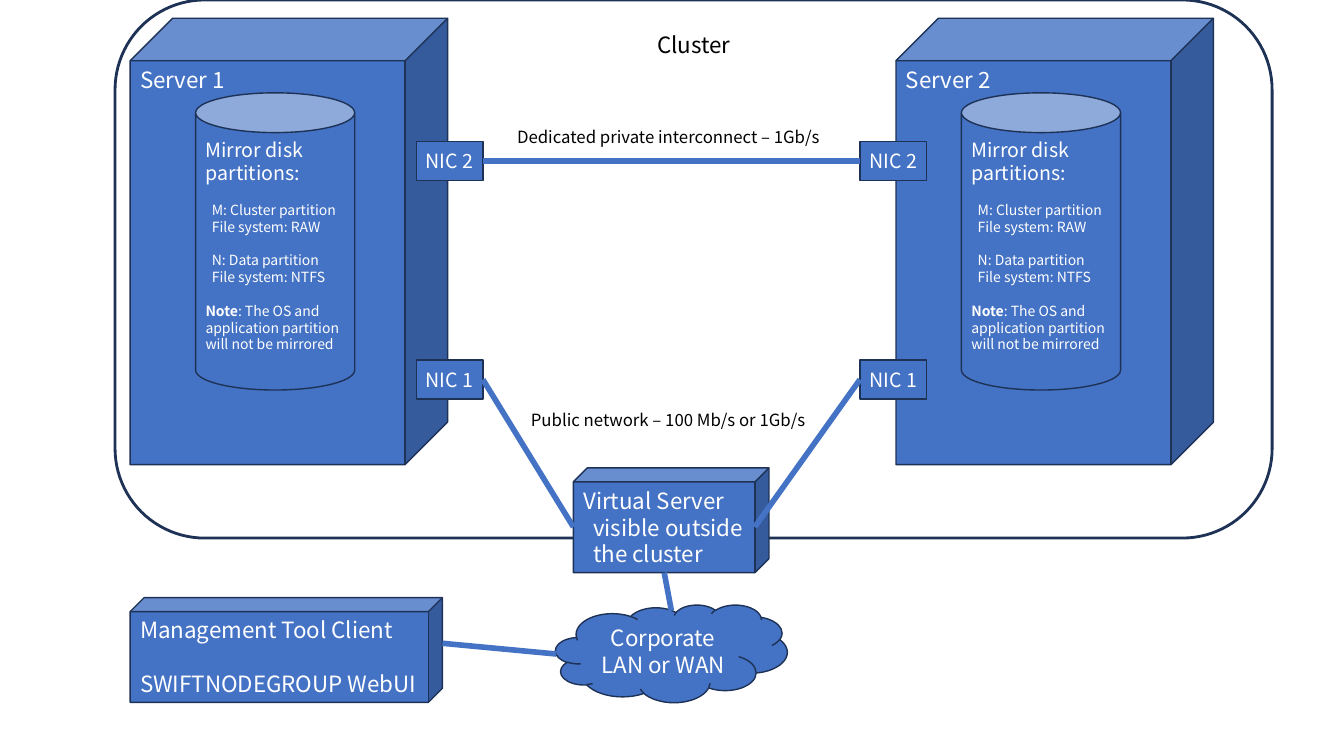
from dataclasses import dataclass

import lxml.etree
import pptx
import pptx.dml.color
import pptx.enum.shapes
import pptx.enum.text
import pptx.oxml.ns
import pptx.util
from pptx.util import Cm

SHAPE = pptx.enum.shapes.MSO_SHAPE
ALIGN = pptx.enum.text.PP_ALIGN
ANCHOR = pptx.enum.text.MSO_ANCHOR


# Colours, font and type sizes
@dataclass(frozen=True)
class Theme:
    font: str = "Noto Sans CJK JP"
    blue: str = "4472C4"
    outline: str = "1E3256"
    white: str = "FFFFFF"
    black: str = "000000"
    heading: int = 16
    subheading: int = 14
    label: int = 12
    detail: int = 10


THEME = Theme()


# Descriptions of the repeated elements; lengths in cm, gaps in points
@dataclass(frozen=True)
class Line:
    text: str
    size: int = THEME.heading
    indent: float = 0
    gap: int = 0
    bold_lead: str = ""


@dataclass(frozen=True)
class Box:
    left: float
    top: float
    width: float
    height: float


@dataclass(frozen=True)
class Block:
    kind: SHAPE
    box: Box
    lines: tuple[Line, ...]
    centred: bool = False


@dataclass(frozen=True)
class Server:
    name: str
    left: float
    nic_left: float


@dataclass(frozen=True)
class Link:
    x1: float
    y1: float
    x2: float
    y2: float


DETAIL = THEME.detail
MIRROR_DISK = (
    Line("Mirror disk", THEME.subheading),
    Line("partitions:", THEME.subheading),
    Line("M: Cluster partition", DETAIL, indent=0.16, gap=12),
    Line("File system: RAW", DETAIL, indent=0.16),
    Line("N: Data partition", DETAIL, indent=0.16, gap=12),
    Line("File system: NTFS", DETAIL, indent=0.16),
    Line(": The OS and", DETAIL, gap=12, bold_lead="Note"),
    Line("application partition", DETAIL),
    Line("will not be mirrored", DETAIL),
)
SERVERS = (Server("Server 1", 3.28, 10.49), Server("Server 2", 22.58, 21.67))
SERVER_TOP = 0.46
NIC_TOPS = {"NIC 1": 9.07, "NIC 2": 3.56}
NIC_WIDTH, NIC_HEIGHT = 1.68, 0.99
NIC_INNER = (SERVERS[0].nic_left + NIC_WIDTH, SERVERS[1].nic_left)
NIC1_Y, NIC2_Y = (top + NIC_HEIGHT / 2 for top in NIC_TOPS.values())

CLUSTER = Box(2.9, 0, 29.16, 13.56)
OUTSIDE = (
    Block(SHAPE.CUBE, Box(14.45, 11.79, 4.93, 2.64),
          (Line("Virtual Server"), Line("visible outside", indent=0.25),
           Line("the cluster", indent=0.25))),
    Block(SHAPE.CUBE, Box(3.28, 15.06, 7.87, 2.64),
          (Line("Management Tool Client"), Line("SWIFTNODEGROUP WebUI", gap=19))),
    Block(SHAPE.CLOUD, Box(14, 15.24, 5.84, 2.46),
          (Line("Corporate"), Line("LAN or WAN")), centred=True),
)
LABELS = (
    ("Dedicated private interconnect – 1Gb/s", Box(12.78, 3.07, 8.31, 0.76)),
    ("Public network – 100 Mb/s or 1Gb/s", Box(13.13, 10.19, 7.65, 0.76)),
)
LINKS = (
    Link(NIC_INNER[0], NIC2_Y, NIC_INNER[1], NIC2_Y),
    Link(NIC_INNER[0], NIC1_Y, 14.45, 13.28),
    Link(NIC_INNER[1], NIC1_Y, 19.02, 13.28),
    Link(16.74, 14.43, 16.92, 15.39),
    Link(14.02, 16.48, 11.15, 16.21),
)


def rgb(colour: str) -> pptx.dml.color.RGBColor:
    return pptx.dml.color.RGBColor.from_string(colour)


def place(box: Box) -> tuple[Cm, Cm, Cm, Cm]:
    return Cm(box.left), Cm(box.top), Cm(box.width), Cm(box.height)


def write(tf, lines: tuple[Line, ...], colour: str, centred: bool = False) -> None:
    tf.word_wrap = True
    tf.auto_size = pptx.enum.text.MSO_AUTO_SIZE.NONE
    tf.vertical_anchor = ANCHOR.MIDDLE if centred else ANCHOR.TOP
    if not centred:
        tf.margin_right = 0
    for i, line in enumerate(lines):
        p = tf.paragraphs[0] if i == 0 else tf.add_paragraph()
        p.alignment = ALIGN.CENTER if centred else ALIGN.LEFT
        p.space_before = pptx.util.Pt(line.gap)
        p.font.name = THEME.font
        p.font.size = pptx.util.Pt(line.size)
        p.font.color.rgb = rgb(colour)
        if line.indent:
            p._p.get_or_add_pPr().set("marL", str(Cm(line.indent)))
        if line.bold_lead:
            r = p.add_run()
            r.text = line.bold_lead
            r.font.bold = True
        p.add_run().text = line.text


def add_block(s, block: Block):
    sp = s.shapes.add_shape(block.kind, *place(block.box))
    sp.shadow.inherit = False
    sp.fill.solid()
    sp.fill.fore_color.rgb = rgb(THEME.blue)
    sp.line.color.rgb = rgb(THEME.outline)
    sp.line.width = pptx.util.Pt(1)
    if block.kind == SHAPE.CUBE:
        sp.adjustments[0] = 0.134
    write(sp.text_frame, block.lines, THEME.white, block.centred)
    return sp


def add_server(s, server: Server) -> None:
    add_block(s, Block(SHAPE.CUBE, Box(server.left, SERVER_TOP, 8, 11.25),
                       (Line(server.name),)))
    add_block(s, Block(SHAPE.CAN, Box(server.left + 1.65, SERVER_TOP + 1.88, 4.01, 7.49),
                       MIRROR_DISK))
    for name, top in NIC_TOPS.items():
        sp = add_block(s, Block(SHAPE.RECTANGLE,
                                Box(server.nic_left, top, NIC_WIDTH, NIC_HEIGHT),
                                (Line(name, THEME.subheading),), centred=True))
        tf = sp.text_frame
        tf.margin_left = tf.margin_right = tf.margin_top = tf.margin_bottom = Cm(0.2)


def add_link(s, link: Link) -> None:
    c = s.shapes.add_connector(pptx.enum.shapes.MSO_CONNECTOR.STRAIGHT,
                               Cm(link.x1), Cm(link.y1), Cm(link.x2), Cm(link.y2))
    c.line.color.rgb = rgb(THEME.blue)
    c.line.width = pptx.util.Pt(4)
    lxml.etree.SubElement(c._element.spPr, pptx.oxml.ns.qn("a:effectLst"))


def main() -> None:
    prs = pptx.Presentation()
    prs.slide_width, prs.slide_height = Cm(33.87), Cm(19.05)
    s = prs.slides.add_slide(prs.slide_layouts[5])

    # Cluster frame and its title
    frame = s.shapes.add_shape(SHAPE.ROUNDED_RECTANGLE, *place(CLUSTER))
    frame.shadow.inherit = False
    frame.fill.background()
    frame.line.color.rgb = rgb(THEME.outline)
    frame.line.width = pptx.util.Pt(2)
    title = s.shapes.title
    title.left, title.top, title.width, title.height = place(Box(13.48, 0.62, 8, 1))
    write(title.text_frame, (Line("Cluster"),), THEME.black, centred=True)

    # Servers, shared blocks, links and labels
    for server in SERVERS:
        add_server(s, server)
    for block in OUTSIDE:
        add_block(s, block)
    for link in LINKS:
        add_link(s, link)
    for text, box in LABELS:
        sp = s.shapes.add_textbox(*place(box))
        write(sp.text_frame, (Line(text, THEME.label),), THEME.black)

    prs.save("out.pptx")


if __name__ == "__main__":
    main()
